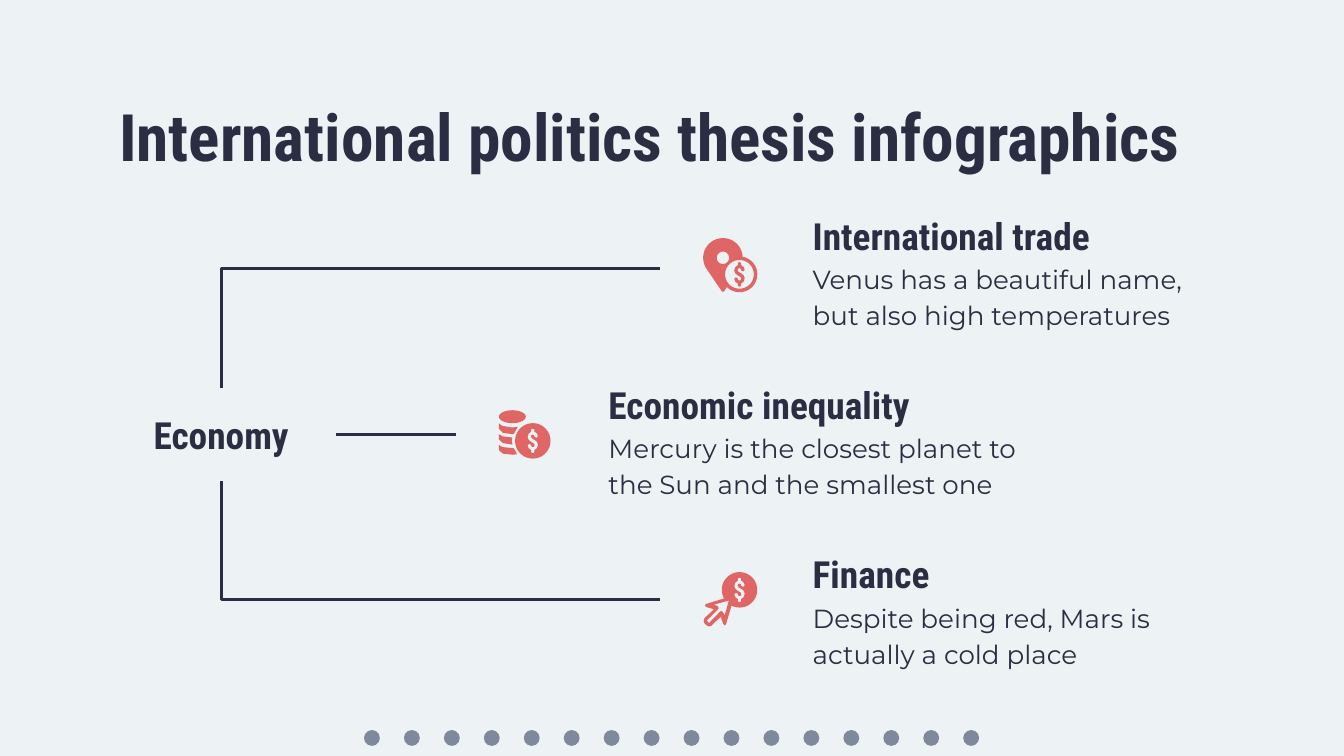
from math import cos, radians, sin

from pptx import Presentation
from pptx.dml.color import RGBColor
from pptx.enum.shapes import MSO_CONNECTOR, MSO_SHAPE
from pptx.enum.text import MSO_ANCHOR as Anchor, PP_ALIGN as Align
from pptx.oxml.ns import qn
from pptx.util import Cm, Pt
from lxml.etree import SubElement

NAVY = RGBColor(0x2B, 0x2D, 0x42)
CORAL = RGBColor(0xE0, 0x66, 0x66)
GREY = RGBColor(0x7E, 0x89, 0x9C)
PALE = RGBColor(0xED, 0xF2, 0xF4)
HEADING_FONT, BODY_FONT = "Roboto Condensed", "Montserrat"

TITLE = "International politics thesis infographics"
ROOT = "Economy"
# heading, description, left of text, icon, top of icon (cm)
BRANCHES = [
    ("International trade", "Venus has a beautiful name, but also high temperatures",
     15.11, "pin", 4.5),
    ("Economic inequality", "Mercury is the closest planet to the Sun and the smallest one",
     11.25, "coins", 7.75),
    ("Finance", "Despite being red, Mars is actually a cold place",
     15.11, "cursor", 10.82),
]
BRANCH_TOP, BRANCH_STEP = 3.78, 3.2
DESCRIPTION_DROP, TEXT_WIDTH = 0.86, 8.28
ICON_OFFSET = -1.82
ICON_GRID = 0.0254  # one icon grid step in cm
DOT_COUNT, DOT_LEFT, DOT_TOP, DOT_STEP, DOT_SIZE = 16, 6.88, 13.8, 0.755, 0.3


def arc(x, y, rx, start=0, end=360, ry=None):
    """Points along an arc, angles in degrees measured clockwise."""
    steps = 36
    angles = [radians(start + (end - start) * i / steps) for i in range(steps + 1)]
    return [(x + rx * cos(a), y + (ry or rx) * sin(a)) for a in angles]


def dollar(x, y):
    half = [(-1.2, -8.5), (0, -9.2), (1.2, -8.5), (1.2, -6.9), (3.1, -5.5),
            (3.9, -3.4), (2.8, -2.2), (1.4, -2.8), (0.9, -4.2), (0, -4.6),
            (-1, -4.3), (-1.4, -3.2), (-0.7, -1.9), (1.2, -0.8), (3, 0.6),
            (3.9, 2.7), (3.2, 5.3), (1.2, 6.9)]
    return [(x + sign * dx, y + sign * dy) for sign in (1, -1) for dx, dy in half]


# Each icon is a list of outlines; each outline is a list of contours, inner ones cut holes.
ICONS = {
    "pin": [
        [arc(14.7, 14.7, 14.7, 0, -210) + [(14, 39.8), (15.5, 39.8)]
         + arc(27, 27, 13.3, 135, -78),
         arc(14.7, 14.7, 4.6), arc(27, 27, 10.7)],
        [dollar(27, 27)],
    ],
    "coins": [
        [arc(25.2, 23, 13.2), dollar(25.2, 23)],
        [arc(10, 5, 10, ry=4.8)],
        [[(0, 10), (2.5, 11.8), (10, 13), (14, 12.5), (11, 18), (10, 18), (3, 17), (0, 14)]],
        [[(0, 18), (2.5, 19.6), (10, 20.5), (9.6, 23), (10, 25.8), (3, 24.7), (0, 22)]],
        [[(0, 26), (2.5, 27.6), (11, 28.5), (13.5, 33), (10, 33.3), (3, 32.5), (0, 30)]],
    ],
    "cursor": [
        [arc(27, 13, 13.2, 117, -209)
         + [(2, 23.5), (1.3, 24.5), (2, 25.7), (8, 27.5), (1, 34), (0.3, 36), (1, 38),
            (3, 39.8), (4.5, 40.2), (6, 39.8), (13, 33), (15, 38.5), (16, 39.5), (17, 38.5)],
         dollar(27, 13),
         [(19, 21), (16, 32), (14.7, 29.7), (13.5, 28.7), (12.7, 29), (4.4, 37.6),
          (2.6, 36), (11.5, 27), (11, 25.2), (8, 24)]],
    ],
}


def write(shape, text, *, size=20, font=HEADING_FONT, bold=True,
          align=Align.LEFT, anchor=Anchor.MIDDLE, spacing=None):
    frame = shape.text_frame
    frame.word_wrap = True
    frame.vertical_anchor = anchor
    frame.margin_left = frame.margin_right = Cm(0.25)
    frame.margin_top = frame.margin_bottom = Cm(0.25)
    frame.text = text
    paragraph = frame.paragraphs[0]
    paragraph.alignment = align
    paragraph.line_spacing = spacing
    style = paragraph.runs[0].font
    style.size, style.name, style.bold = Pt(size), font, bold
    style.color.rgb = NAVY


def fill_plain(shape, color):
    shape.shadow.inherit = False
    shape.fill.solid()
    shape.fill.fore_color.rgb = color
    shape.line.fill.background()


def draw_icon(shapes, outlines, left, top):
    def to_units(contour):
        return [(x * ICON_GRID * 1000, y * ICON_GRID * 1000) for x, y in contour]

    for contours in outlines:
        first, *holes = map(to_units, contours)
        builder = shapes.build_freeform(*first[0], scale=Cm(1) / 1000)
        builder.add_line_segments(first[1:])
        for hole in holes:
            builder.move_to(*hole[0])
            builder.add_line_segments(hole[1:])
        fill_plain(builder.convert_to_shape(Cm(left), Cm(top)), CORAL)


def connect(shapes, start, end, preset=None, rotation=0):
    connector = shapes.add_connector(MSO_CONNECTOR.ELBOW, *map(Cm, start + end))
    connector.line.color.rgb = NAVY
    connector.line.width = Pt(1.5)
    properties = connector._element.spPr
    SubElement(properties, qn("a:effectLst"))
    if preset:
        properties.find(qn("a:prstGeom")).set("prst", preset)
        properties.find(qn("a:xfrm")).set("rot", str(rotation * 60000))


def connect_corner(shapes, start, end):
    """Go vertically from start, then horizontally to end."""
    (x1, y1), (x2, y2) = start, end
    middle_x, middle_y = (x1 + x2) / 2, (y1 + y2) / 2
    half_width, half_height = (y2 - y1) / 2, (x2 - x1) / 2
    connect(shapes, (middle_x + half_width, middle_y - half_height),
            (middle_x - half_width, middle_y + half_height), "bentConnector2", 270)


def main():
    deck = Presentation()
    deck.slide_width, deck.slide_height = Cm(25.4), Cm(14.29)
    slide = deck.slides.add_slide(deck.slide_layouts[5])
    slide.background.fill.solid()
    slide.background.fill.fore_color.rgb = PALE
    shapes = slide.shapes

    for i in range(DOT_COUNT):
        dot = shapes.add_shape(MSO_SHAPE.OVAL, Cm(DOT_LEFT + i * DOT_STEP), Cm(DOT_TOP),
                               Cm(DOT_SIZE), Cm(DOT_SIZE))
        fill_plain(dot, GREY)

    title = shapes.title
    title.left, title.top, title.width, title.height = map(Cm, (2, 1.57, 21.4, 1.57))
    write(title, TITLE, size=35, anchor=Anchor.TOP)

    root = shapes.add_shape(MSO_SHAPE.ROUNDED_RECTANGLE, Cm(2), Cm(7.34), Cm(4.36), Cm(1.75))
    root.adjustments[0] = 0
    root.shadow.inherit = False
    root.fill.background()
    root.line.fill.background()
    write(root, ROOT, align=Align.CENTER)

    connect_corner(shapes, (4.18, 7.34), (12.47, 5.08))
    connect_corner(shapes, (4.18, 9.09), (12.47, 11.33))
    connect(shapes, (6.36, 8.21), (8.62, 8.21))

    for row, (heading, description, left, icon, icon_top) in enumerate(BRANCHES):
        top = BRANCH_TOP + row * BRANCH_STEP
        heading_box = shapes.add_textbox(Cm(left), Cm(top), Cm(TEXT_WIDTH), Cm(1.33))
        write(heading_box, heading)
        description_box = shapes.add_textbox(Cm(left), Cm(top + DESCRIPTION_DROP),
                                             Cm(TEXT_WIDTH), Cm(1.57))
        write(description_box, description, size=14, font=BODY_FONT, bold=False,
              anchor=Anchor.TOP, spacing=1.15)
        draw_icon(shapes, ICONS[icon], left + ICON_OFFSET, icon_top)

    deck.save("out.pptx")


if __name__ == "__main__":
    main()
